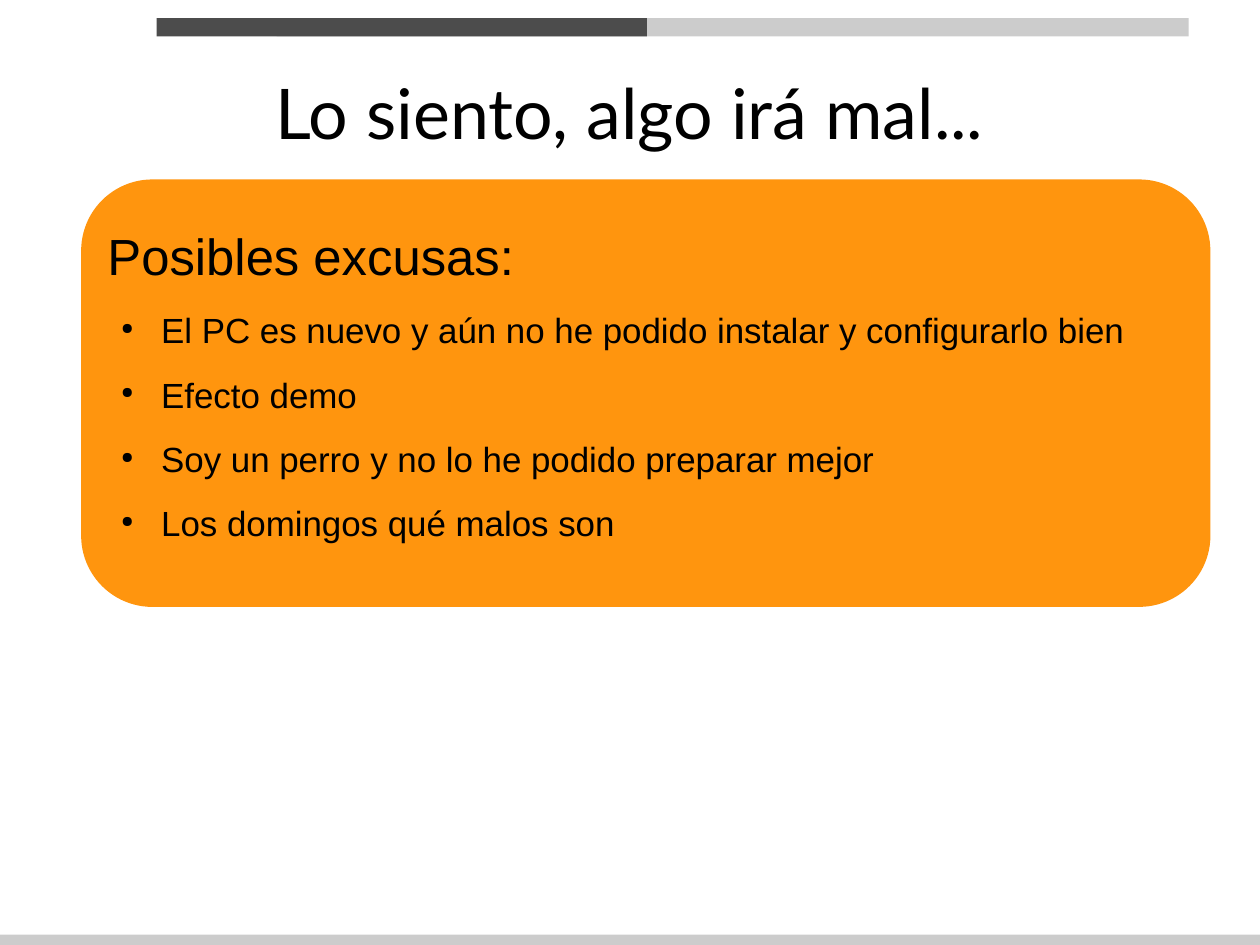
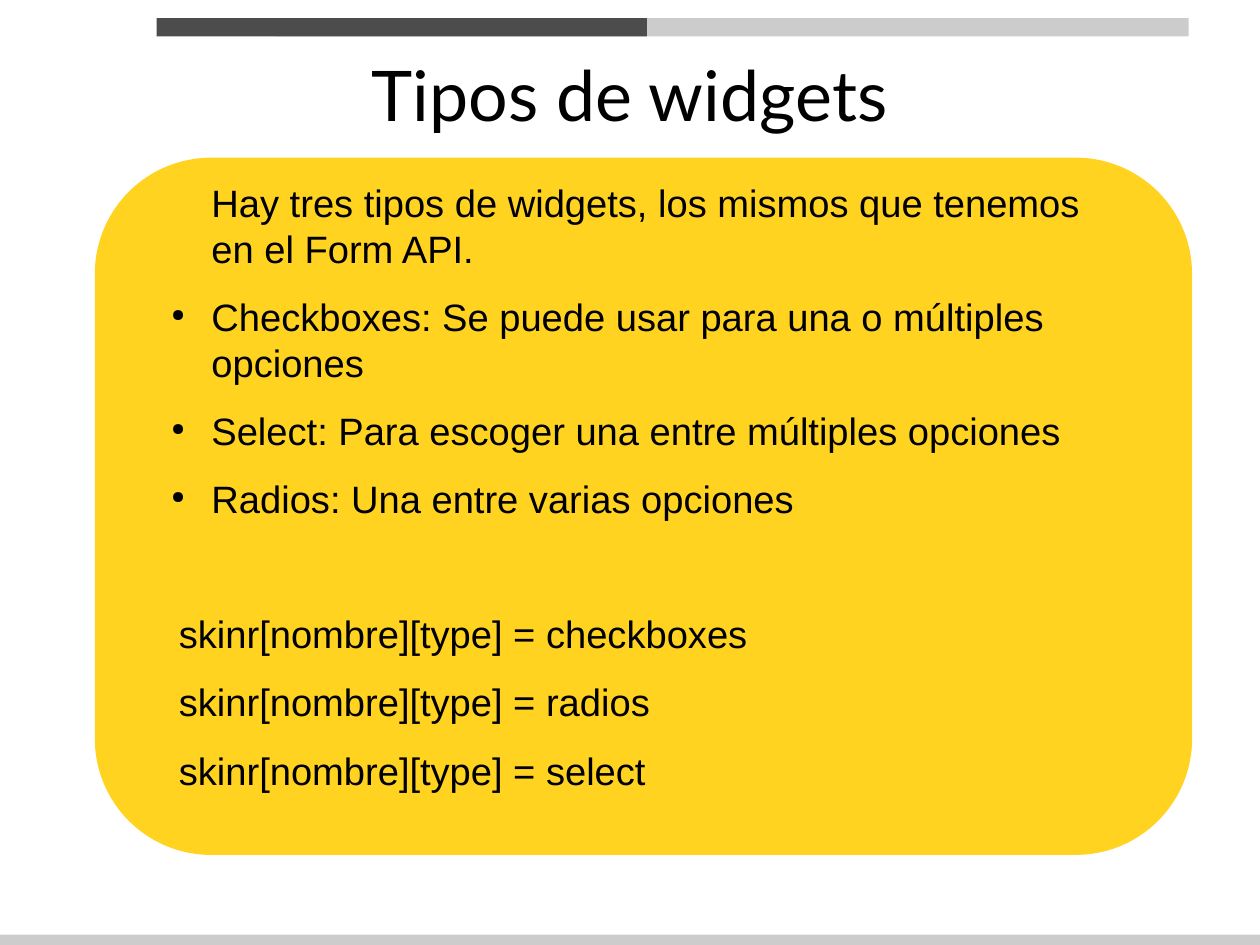
from dataclasses import dataclass

from lxml import etree
from pptx import Presentation
from pptx.dml.color import RGBColor
from pptx.enum.shapes import MSO_SHAPE
from pptx.enum.text import MSO_ANCHOR, PP_ALIGN
from pptx.oxml.ns import qn
from pptx.util import Inches, Pt

# Shared look; the page is 28 by 21 cm
WIDE, HIGH = 28 / 2.54, 21 / 2.54
BLACK, DARK, GREY = "000000", "4C4C4C", "CCCCCC"
ORANGE, YELLOW = "FF950E", "FFD320"
HEAD, BODY = "Lato", "Arial"
INDENT, HANG = 0.47, -0.35


@dataclass
class Box:
    left: float
    top: float
    width: float
    height: float

    def inches(self) -> tuple:
        return tuple(map(Inches, (self.left, self.top, self.width, self.height)))


@dataclass
class Line:
    text: str
    size: float
    bullet: bool = False
    indent: float = 0
    before: float = 0


@dataclass
class Page:
    title: str
    top: float
    panel: Box
    fill: str
    body: Box
    lines: list[Line]


BANDS = [
    (Box(2.42, 0.16, 7.98, 0.16), GREY),
    (Box(1.37, 0.16, 4.29, 0.16), DARK),
    (Box(0, HIGH - 0.09, WIDE, 0.09), GREY),
]


def color(code: str) -> RGBColor:
    return RGBColor.from_string(code)


def block(slide, box: Box, fill: str, kind=MSO_SHAPE.RECTANGLE) -> None:
    """Draw a plain filled shape."""
    shape = slide.shapes.add_shape(kind, *box.inches())
    shape.shadow.inherit = False
    shape.fill.solid()
    shape.fill.fore_color.rgb = color(fill)
    shape.line.fill.background()


def frame(shape, anchor=MSO_ANCHOR.TOP):
    """Give a text frame wrapping and no margins."""
    text = shape.text_frame
    text.word_wrap = True
    text.vertical_anchor = anchor
    text.margin_left = text.margin_right = 0
    text.margin_top = text.margin_bottom = 0
    return text


def dot(para) -> None:
    """Add a small round bullet."""
    props = para._p.get_or_add_pPr()
    tint = etree.SubElement(props, qn("a:buClr"))
    etree.SubElement(tint, qn("a:srgbClr"), val=BLACK)
    etree.SubElement(props, qn("a:buSzPct"), val="45000")
    etree.SubElement(props, qn("a:buChar"), char="●")


def write(para, text: str, *, size: float, font: str = BODY, align=PP_ALIGN.LEFT,
          bullet: bool = False, indent: float = 0, before: float = 0,
          after: float = 0) -> None:
    props = para._p.get_or_add_pPr()
    props.set("marL", str(Inches(indent)))
    props.set("indent", str(Inches(HANG if bullet else 0)))
    if bullet:
        dot(para)
    para.alignment = align
    para.space_before, para.space_after = Pt(before), Pt(after)
    run = para.add_run()
    run.text = text
    run.font.name, run.font.size = font, Pt(size)
    run.font.color.rgb = color(BLACK)


def build(deck, page: Page) -> None:
    slide = deck.slides.add_slide(deck.slide_layouts[5])
    # Title
    title = slide.shapes.title
    title.left, title.top, title.width, title.height = Box(
        0.55, page.top, 9.92, 0.88).inches()
    write(frame(title, MSO_ANCHOR.MIDDLE).paragraphs[0], page.title,
          size=44, font=HEAD, align=PP_ALIGN.CENTER)
    # Panel and bands
    block(slide, page.panel, page.fill, MSO_SHAPE.ROUNDED_RECTANGLE)
    for box, fill in BANDS:
        block(slide, box, fill)
    # Body text
    text = frame(slide.shapes.add_textbox(*page.body.inches()))
    for i, line in enumerate(page.lines):
        para = text.add_paragraph() if i else text.paragraphs[0]
        write(para, line.text, size=line.size, bullet=line.bullet,
              indent=line.indent, before=line.before, after=14.2)


def points(size: float, *texts: str) -> list[Line]:
    return [Line(text, size, bullet=True, indent=INDENT) for text in texts]


PAGES = [
    Page(
        "Lo siento, algo irá mal...", 0.54,
        Box(0.71, 1.57, 9.88, 3.74), ORANGE, Box(0.94, 1.97, 9.49, 5.24),
        [Line("Posibles excusas:", 32)] + points(
            22,
            "El PC es nuevo y aún no he podido instalar y configurarlo bien",
            "Efecto demo",
            "Soy un perro y no lo he podido preparar mejor",
            "Los domingos qué malos son",
        ),
    ),
    Page(
        "Tipos de widgets", 0.38,
        Box(0.83, 1.38, 9.6, 6.1), YELLOW, Box(1.38, 1.57, 8.07, 6.6),
        [Line("Hay tres tipos de widgets, los mismos que tenemos en el Form API.",
              24, indent=INDENT)]
        + points(
            24,
            "Checkboxes: Se puede usar para una o múltiples opciones",
            "Select: Para escoger una entre múltiples opciones",
            "Radios: Una entre varias opciones",
        )
        + [Line(f"  skinr[nombre][type] = {kind}", 24, before=gap)
           for kind, gap in (("checkboxes", 42), ("radios", 0), ("select", 0))],
    ),
]


def main() -> None:
    deck = Presentation()
    deck.slide_width, deck.slide_height = Inches(WIDE), Inches(HIGH)
    for page in PAGES:
        build(deck, page)
    deck.save("out.pptx")


if __name__ == "__main__":
    main()
